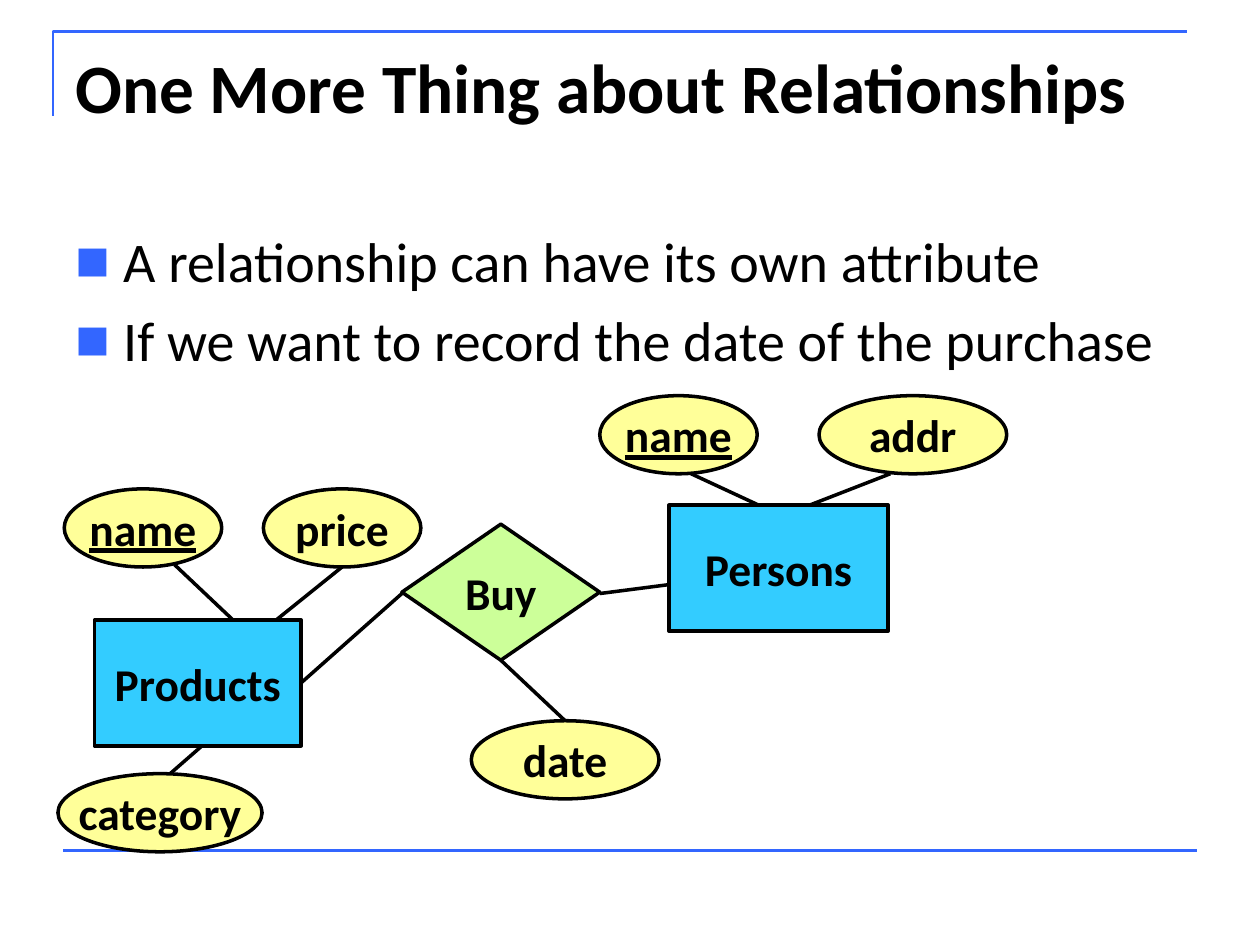
import pptx
import pptx.util
import pptx.dml.color
import pptx.enum.shapes
import pptx.enum.text
import pptx.oxml.ns
import lxml.etree

Kind = pptx.enum.shapes.MSO_SHAPE
Align = pptx.enum.text.PP_ALIGN
Anchor = pptx.enum.text.MSO_ANCHOR
PITCH = 0.1  # inches per grid column and row


class Theme:
    ink, rule = "000000", "3366FF"
    fills = {Kind.RECTANGLE: "33CCFF", Kind.OVAL: "FFFF99", Kind.DIAMOND: "CCFF99"}
    face = "Calibri"
    title = {"size": 39.6, "bold": True}
    body = {"size": 32}
    label = {"size": 26, "bold": True}
    thin, thick = 1.5, 2


# key: (text, kind, column, row, columns wide, rows high)
NODES = {
    "persons": ("Persons", Kind.RECTANGLE, 48.5, 8.7, 17.4, 10),
    "addr": ("addr", Kind.OVAL, 60.4, 0, 14.9, 6.2),
    "person name": ("name", Kind.OVAL, 43, 0, 12.5, 6.2),
    "products": ("Products", Kind.RECTANGLE, 2.9, 17.8, 16.4, 10),
    "product name": ("name", Kind.OVAL, 0.5, 7.4, 12.5, 6.2),
    "category": ("category", Kind.OVAL, 0, 30, 16.2, 6.2),
    "price": ("price", Kind.OVAL, 16.3, 7.4, 12.5, 6.2),
    "buy": ("Buy", Kind.DIAMOND, 27.3, 10.2, 15.7, 10.8),
    "date": ("date", Kind.OVAL, 32.8, 25.8, 14.9, 6.2),
}
KEYS = {"person name", "product name"}

# node, share of its width and height; then the same for the other end
LINKS = [
    ("person name", 0.58, 1, "persons", 0.41, 0),
    ("addr", 0.38, 1, "persons", 0.64, 0),
    ("product name", 0.7, 0.97, "products", 0.67, 0),
    ("price", 0.5, 1, "products", 0.88, 0),
    ("category", 0.55, 0, "products", 0.52, 1),
    ("buy", 0, 0.51, "products", 1, 0.5),
    ("buy", 1, 0.51, "persons", 0, 0.63),
    ("date", 0.5, 0, "buy", 0.5, 1),
]


def grid(*cells):
    return [pptx.util.Inches(cell * PITCH) for cell in cells]


def color(code):
    return pptx.dml.color.RGBColor.from_string(code)


def apply(target, values):
    for name, value in values.items():
        setattr(target, name, value)


def write(para, text, style):
    run = para.add_run()
    run.text = text
    apply(run.font, {"name": Theme.face, **style, "size": pptx.util.Pt(style["size"])})
    run.font.color.rgb = color(Theme.ink)


def stroke(shape, code, width):
    shape.line.color.rgb = color(code)
    shape.line.width = pptx.util.Pt(width)


def join(slide, start, end, code, width):
    line = slide.shapes.add_connector(
        pptx.enum.shapes.MSO_CONNECTOR.STRAIGHT, *grid(*start, *end))
    stroke(line, code, width)
    lxml.etree.SubElement(line._element.spPr, pptx.oxml.ns.qn("a:effectLst"))


def add_frame(slide, box):
    """Draw the open corner above the title and the rule at the foot."""
    left, top, wide, high = box
    pen = slide.shapes.build_freeform(*grid(left, top + 6.7))
    pen.add_line_segments([grid(left, top), grid(left + wide, top)], close=False)
    corner = pen.convert_to_shape()
    corner.shadow.inherit = False
    corner.fill.background()
    stroke(corner, Theme.rule, Theme.thin)
    foot = top + high
    join(slide, (left + 0.8, foot), (left + 0.8 + wide, foot), Theme.rule, Theme.thin)


def add_text(slide, box, lines, style):
    frame = slide.shapes.add_textbox(*grid(*box)).text_frame
    frame.word_wrap = True
    for i, text in enumerate(lines):
        para = frame.add_paragraph() if i else frame.paragraphs[0]
        write(para, text, style)
    return frame.paragraphs


def add_bullet(para):
    para.space_before = pptx.util.Pt(Theme.body["size"] * 0.2)
    props = para._p.get_or_add_pPr()
    indent = pptx.util.Inches(0.38)
    props.set("marL", str(indent))
    props.set("indent", str(-indent))
    tint = lxml.etree.SubElement(props, pptx.oxml.ns.qn("a:buClr"))
    marks = [(tint, "srgbClr", "val", Theme.rule), (props, "buSzPct", "val", "65000"),
             (props, "buFont", "typeface", Theme.face), (props, "buChar", "char", "■")]
    for parent, tag, key, value in marks:
        lxml.etree.SubElement(parent, pptx.oxml.ns.qn("a:" + tag)).set(key, value)


def add_body(slide, box, lines):
    for para in add_text(slide, box, lines, Theme.body):
        add_bullet(para)


def add_node(slide, text, kind, box, is_key):
    shape = slide.shapes.add_shape(kind, *grid(*box))
    shape.shadow.inherit = False
    shape.fill.solid()
    shape.fill.fore_color.rgb = color(Theme.fills[kind])
    stroke(shape, Theme.ink, Theme.thick)
    frame = shape.text_frame
    apply(frame, {"word_wrap": False, "vertical_anchor": Anchor.MIDDLE})
    para = frame.paragraphs[0]
    para.alignment = Align.CENTER
    write(para, text, {**Theme.label, **({"underline": True} if is_key else {})})


def add_diagram(slide, left, top):
    """Place the entities, attributes and links from the given corner."""
    boxes = {key: (left + col, top + row, wide, high)
             for key, (_, _, col, row, wide, high) in NODES.items()}

    def point(key, across, down):
        x, y, wide, high = boxes[key]
        return x + across * wide, y + down * high

    for key, (text, kind, *_) in NODES.items():
        add_node(slide, text, kind, boxes[key], key in KEYS)
    for link in LINKS:
        join(slide, point(*link[:3]), point(*link[3:]), Theme.ink, Theme.thick)


def main():
    deck = pptx.Presentation()
    wide, high = grid(100, 75)
    apply(deck, {"slide_width": wide, "slide_height": high})
    slide = deck.slides.add_slide(deck.slide_layouts[6])
    add_frame(slide, (4.2, 2.5, 90, 65))
    add_text(slide, (5, 3, 90, 12.5), ["One More Thing about Relationships"], Theme.title)
    add_body(slide, (5, 17.5, 90, 49.5), [
        "A relationship can have its own attribute",
        "If we want to record the date of the purchase"])
    add_diagram(slide, 4.6, 31.4)
    deck.save("out.pptx")


if __name__ == "__main__":
    main()
